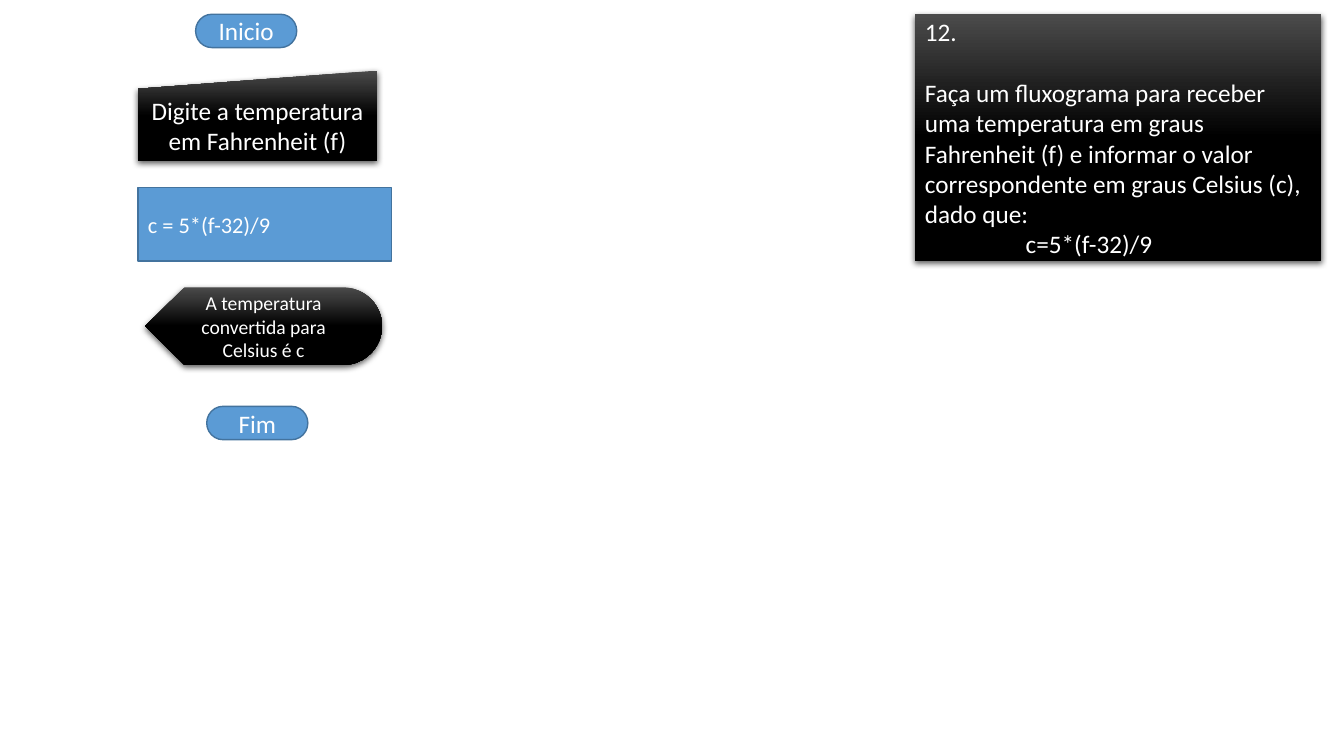
from dataclasses import dataclass

from lxml import etree
from pptx import Presentation
from pptx.dml.color import RGBColor
from pptx.enum.shapes import MSO_SHAPE
from pptx.enum.text import MSO_ANCHOR, PP_ALIGN
from pptx.oxml.ns import qn
from pptx.shapes.autoshape import Shape
from pptx.slide import Slide
from pptx.util import Cm, Pt

BLUE = RGBColor(0x5B, 0x9B, 0xD5)
BLUE_EDGE = RGBColor(0x43, 0x73, 0x9E)
GREY = RGBColor(0x4B, 0x4B, 0x4B)
BLACK = RGBColor(0, 0, 0)
WHITE = RGBColor(0xFF, 0xFF, 0xFF)
FONT = "Calibri"


@dataclass(frozen=True)
class Block:
    """A filled shape with text; lengths are centimetres, size is points."""
    kind: MSO_SHAPE
    left: float
    top: float
    width: float
    height: float
    paragraphs: tuple[str, ...]
    size: int = 18
    align: PP_ALIGN = PP_ALIGN.CENTER
    dark: bool = False


def terminator(left: float, top: float, label: str) -> Block:
    """Describe a start or end symbol."""
    return Block(MSO_SHAPE.FLOWCHART_TERMINATOR, left, top, 2.55, 0.84, (label,))


STATEMENT = Block(
    MSO_SHAPE.RECTANGLE, 23.06, 0.36, 10.24, 6.22,
    ("12.",
     "Faça um fluxograma para receber uma temperatura em graus Fahrenheit (f) "
     "e informar o valor correspondente em graus Celsius (c), dado que:",
     "c=5*(f-32)/9"),
    align=PP_ALIGN.LEFT, dark=True)

FLOW = (
    terminator(4.93, 0.36, "Inicio"),
    Block(MSO_SHAPE.FLOWCHART_MANUAL_INPUT, 3.48, 1.78, 6.02, 2.29,
          ("Digite a temperatura em Fahrenheit (f)",), dark=True),
    Block(MSO_SHAPE.FLOWCHART_PROCESS, 3.48, 4.72, 6.38, 1.86,
          ("c = 5*(f-32)/9",), size=16, align=PP_ALIGN.LEFT),
    Block(MSO_SHAPE.FLOWCHART_DISPLAY, 3.66, 7.24, 5.97, 1.96,
          ("A temperatura convertida para Celsius é c",), size=14, dark=True),
    terminator(5.21, 10.24, "Fim"),
)


def add_drop_shadow(shape: Shape) -> None:
    """Give the shape a soft black shadow straight below it."""
    effects = shape._element.spPr.find(qn("a:effectLst"))
    shadow = etree.SubElement(
        effects, qn("a:outerShdw"), blurRad=str(Pt(4.5)), dist=str(Pt(1.5)),
        dir="5400000", algn="ctr", rotWithShape="0")
    color = etree.SubElement(shadow, qn("a:srgbClr"), val=str(BLACK))
    etree.SubElement(color, qn("a:alpha"), val="63000")


def paint(shape: Shape, dark: bool) -> None:
    """Apply the shaded black style or the flat blue one."""
    shape.shadow.inherit = False
    if not dark:
        shape.fill.solid()
        shape.fill.fore_color.rgb = BLUE
        shape.line.color.rgb = BLUE_EDGE
        shape.line.width = Pt(1)
        return
    shape.fill.gradient()
    shape.fill.gradient_angle = 270
    for stop, color, position in zip(shape.fill.gradient_stops, (GREY, BLACK), (0, 0.5)):
        stop.color.rgb = color
        stop.position = position
    shape.line.fill.background()
    add_drop_shadow(shape)


def add_block(slide: Slide, block: Block) -> Shape:
    """Draw one block with its text and return the shape."""
    shape = slide.shapes.add_shape(
        block.kind, Cm(block.left), Cm(block.top), Cm(block.width), Cm(block.height))
    paint(shape, block.dark)
    frame = shape.text_frame
    frame.word_wrap = True
    frame.vertical_anchor = MSO_ANCHOR.MIDDLE
    frame.text = "\n".join(block.paragraphs)
    for paragraph in frame.paragraphs:
        paragraph.alignment = block.align
        font = paragraph.runs[0].font
        font.name, font.size, font.color.rgb = FONT, Pt(block.size), WHITE
    return shape


def add_statement(slide: Slide) -> None:
    """Draw the exercise text with a gap after its number and an indented formula."""
    frame = add_block(slide, STATEMENT).text_frame
    frame.margin_top = frame.margin_bottom = 0
    number, _, formula = frame.paragraphs
    number.space_after = Pt(22)
    formula._p.get_or_add_pPr().set("marL", str(Cm(2.54)))


def main() -> None:
    """Build and save the slide."""
    deck = Presentation()
    deck.slide_width, deck.slide_height = Cm(33.87), Cm(19.05)
    slide = deck.slides.add_slide(deck.slide_layouts[6])
    add_statement(slide)
    for block in FLOW:
        add_block(slide, block)
    deck.save("out.pptx")


main()
